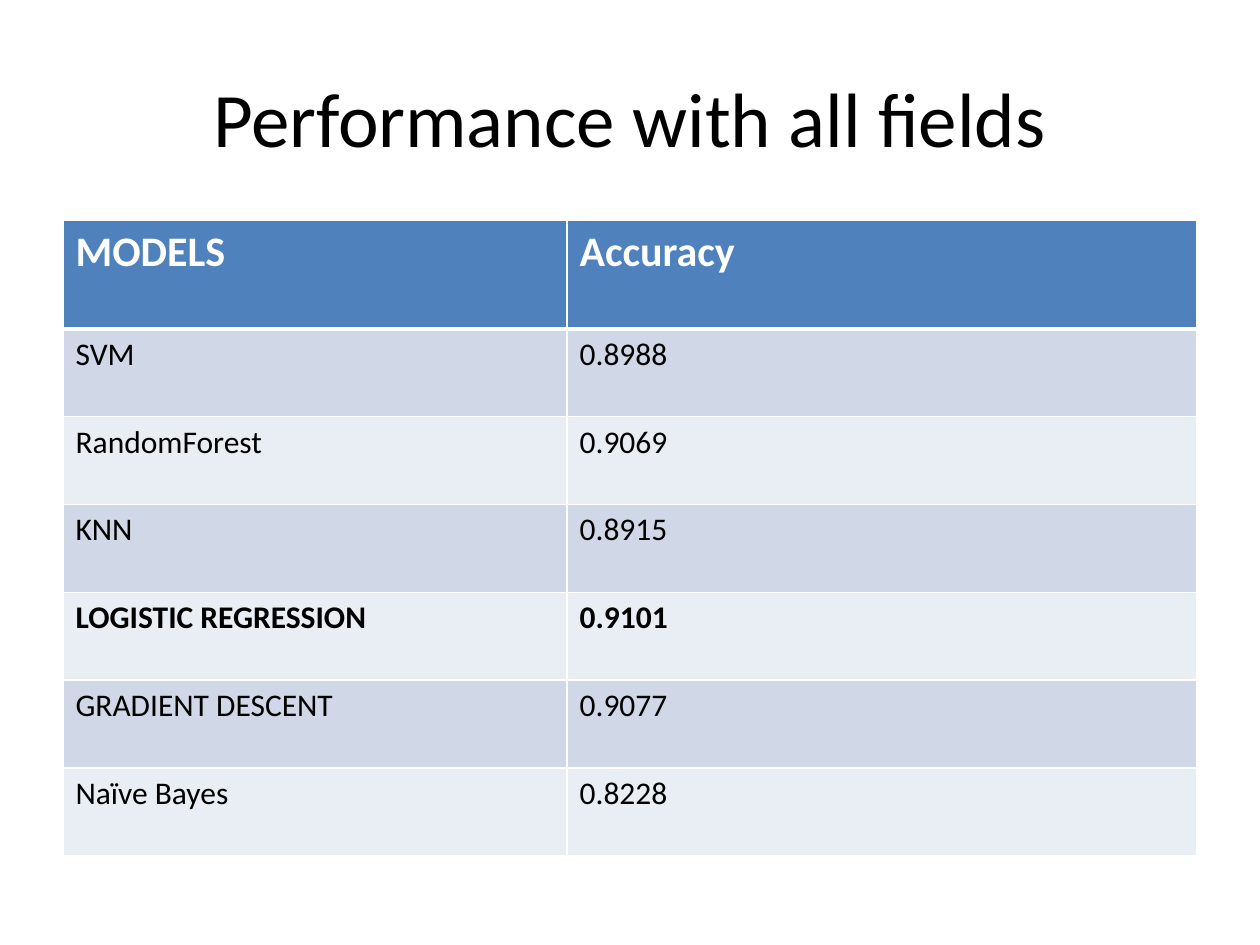
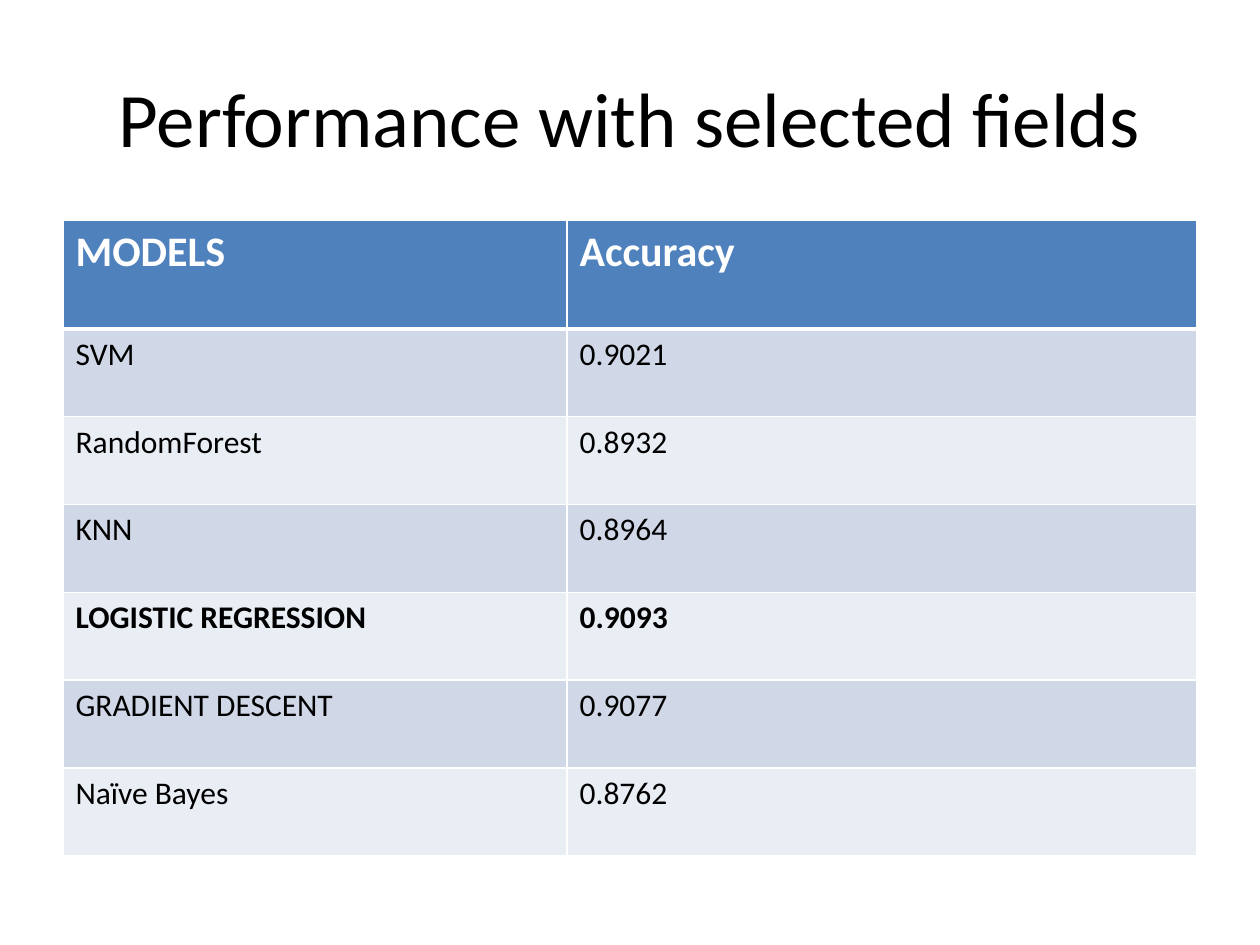
from dataclasses import dataclass

from lxml import etree
from pptx import Presentation
from pptx.dml.color import RGBColor
from pptx.enum.text import MSO_ANCHOR, PP_ALIGN
from pptx.oxml.ns import qn
from pptx.util import Cm, Pt

CENTER = PP_ALIGN.CENTER
MIDDLE = MSO_ANCHOR.MIDDLE
TITLE_ONLY = 5


@dataclass(frozen=True)
class Theme:
    font: str = "Calibri"
    text: str = "000000"
    header_text: str = "FFFFFF"
    header_fill: str = "4F81BD"
    bands: tuple = ("D0D8E8", "E9EDF4")
    border: str = "FFFFFF"
    title_size: int = 44
    header_size: int = 24
    body_size: int = 18
    thin: int = 1
    thick: int = 3


theme = Theme()
models = ["SVM", "RandomForest", "KNN", "LOGISTIC REGRESSION", "GRADIENT DESCENT", "Naïve Bayes"]
best_model = "LOGISTIC REGRESSION"
results = {
    "Performance with all fields": ["0.8988", "0.9069", "0.8915", "0.9101", "0.9077", "0.8228"],
    "Performance with selected fields": ["0.9021", "0.8932", "0.8964", "0.9093", "0.9077", "0.8762"],
}
left, width = Cm(1.27), Cm(22.86)
column_widths = [Cm(10.16), Cm(12.7)]
header_height, row_height = Cm(2.18), Cm(1.77)


def style_text(para, size, color, bold=False):
    para.font.name = theme.font
    para.font.size = Pt(size)
    para.font.bold = bold
    para.font.color.rgb = RGBColor.from_string(color)


def add_border(cell, side, points):
    properties = cell._tc.get_or_add_tcPr()
    line = etree.SubElement(properties, qn(f"a:ln{side}"), w=str(Pt(points)))
    fill = etree.SubElement(line, qn("a:solidFill"))
    etree.SubElement(fill, qn("a:srgbClr"), val=theme.border)


deck = Presentation()
deck.slide_width, deck.slide_height = Cm(25.4), Cm(19.05)

for heading, accuracies in results.items():
    page = deck.slides.add_slide(deck.slide_layouts[TITLE_ONLY])
    title = page.shapes.title
    title.left, title.top, title.width, title.height = left, Cm(0.76), width, Cm(3.18)
    title.text_frame.text = heading
    title.text_frame.vertical_anchor = MIDDLE
    title_para = title.text_frame.paragraphs[0]
    title_para.alignment = CENTER
    style_text(title_para, theme.title_size, theme.text)

    rows = [("MODELS", "Accuracy"), *zip(models, accuracies)]
    table_height = header_height + row_height * len(models)
    table = page.shapes.add_table(
        len(rows), len(column_widths), left, Cm(4.45), width, table_height
    ).table
    for column, column_width in zip(table.columns, column_widths):
        column.width = column_width

    for row_index, values in enumerate(rows):
        is_header = row_index == 0
        table.rows[row_index].height = header_height if is_header else row_height
        row_fill = theme.header_fill if is_header else theme.bands[(row_index - 1) % 2]
        size = theme.header_size if is_header else theme.body_size
        color = theme.header_text if is_header else theme.text
        bold = is_header or values[0] == best_model
        top_line = theme.thick if row_index == 1 else theme.thin
        bottom_line = theme.thick if is_header else theme.thin
        borders = {"L": theme.thin, "R": theme.thin, "T": top_line, "B": bottom_line}
        for column_index, value in enumerate(values):
            cell = table.cell(row_index, column_index)
            cell.text = value
            style_text(cell.text_frame.paragraphs[0], size, color, bold)
            for side, points in borders.items():
                add_border(cell, side, points)
            cell.fill.solid()
            cell.fill.fore_color.rgb = RGBColor.from_string(row_fill)

deck.save("out.pptx")
